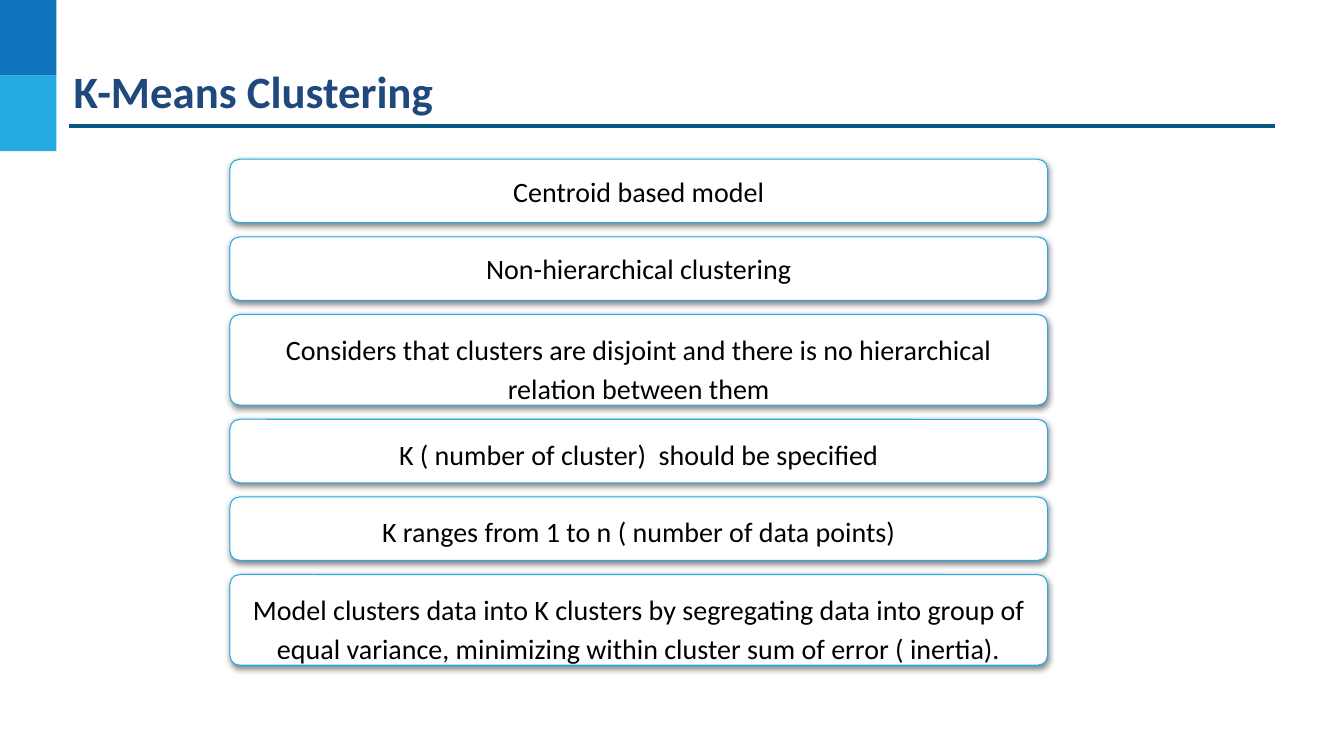
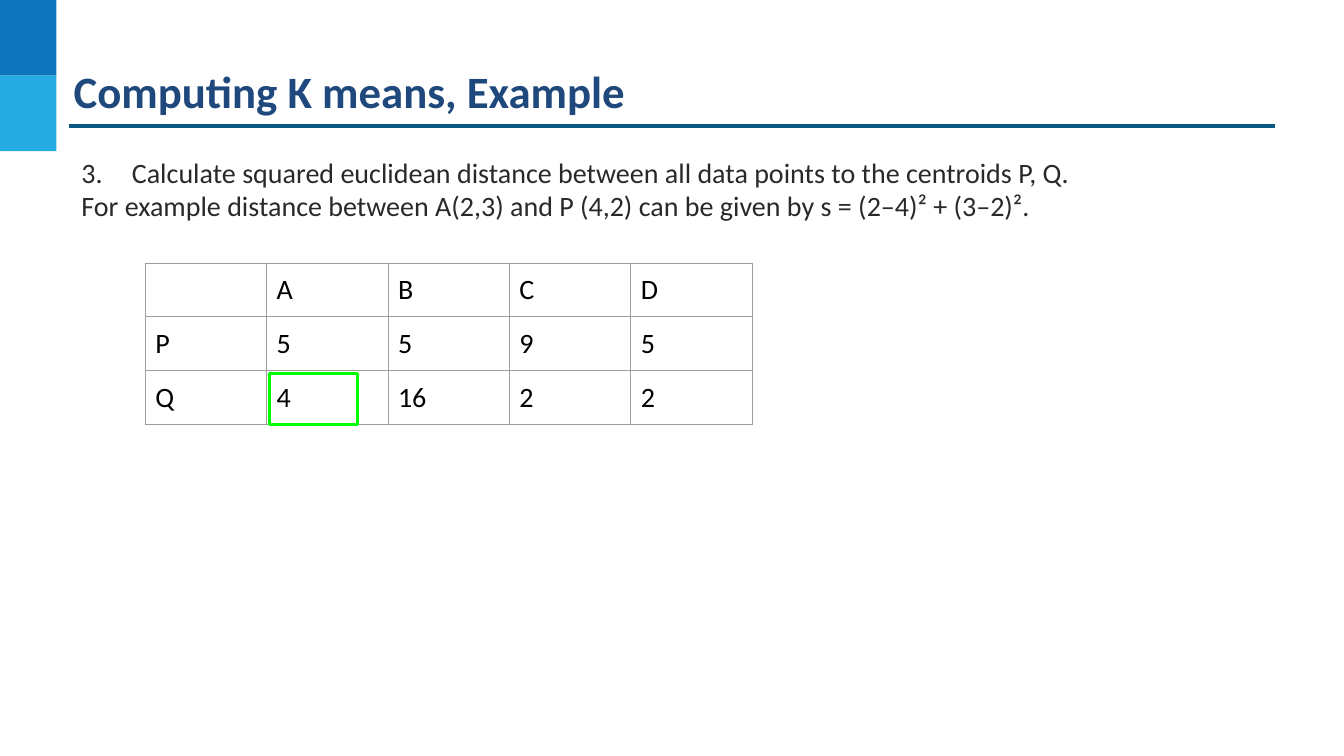
"""Build two slides on K-means clustering: its properties and a distance example."""
from lxml import etree
from pptx import Presentation
from pptx.dml.color import RGBColor
from pptx.enum.shapes import MSO_CONNECTOR, MSO_SHAPE
from pptx.enum.text import MSO_ANCHOR, MSO_AUTO_SIZE, PP_ALIGN
from pptx.oxml import parse_xml
from pptx.oxml.ns import nsdecls, qn
from pptx.util import Inches, Pt

RECTANGLE = MSO_SHAPE.RECTANGLE
ROUNDED = MSO_SHAPE.ROUNDED_RECTANGLE
STRAIGHT = MSO_CONNECTOR.STRAIGHT
TOP, MIDDLE = MSO_ANCHOR.TOP, MSO_ANCHOR.MIDDLE
LEFT, CENTER = PP_ALIGN.LEFT, PP_ALIGN.CENTER
NO_AUTOFIT = MSO_AUTO_SIZE.NONE

DARK_BLUE = RGBColor(0x0F, 0x75, 0xBD)
LIGHT_BLUE = RGBColor(0x25, 0xAA, 0xE2)
RULE_BLUE = RGBColor(0x09, 0x5A, 0x82)
TITLE_BLUE = RGBColor(0x1F, 0x49, 0x7D)
BODY_GREY = RGBColor(0x29, 0x29, 0x29)
BORDER_GREY = RGBColor(0x9E, 0x9E, 0x9E)
GREEN = RGBColor(0x00, 0xFF, 0x00)
WHITE = RGBColor(0xFF, 0xFF, 0xFF)
BLACK = RGBColor(0x00, 0x00, 0x00)

MARGINS = ("margin_left", "margin_top", "margin_right", "margin_bottom")
TITLE_FONT = {"name": "Calibri", "size": Pt(32), "bold": True}
BODY_FONT = {"name": "Calibri", "size": Pt(20), "bold": False}
TITLE_BOX = {"left": Inches(0.71), "top": Inches(0.61),
             "width": Inches(12.29), "height": Inches(0.83)}
TITLES = ["K-Means Clustering", "Computing K means, Example"]
BANDS = [DARK_BLUE, LIGHT_BLUE]

PROPERTIES = [
    ("Centroid based model", 0.63, MIDDLE),
    ("Non-hierarchical clustering", 0.63, MIDDLE),
    ("Considers that clusters are disjoint and there is no hierarchical "
     "relation between them", 0.9, TOP),
    ("K ( number of cluster)  should be specified", 0.63, TOP),
    ("K ranges from 1 to n ( number of data points)", 0.63, TOP),
    ("Model clusters data into K clusters by segregating data into group of "
     "equal variance, minimizing within cluster sum of error ( inertia).", 0.9, TOP),
]
STEP_LINES = [
    "3.\tCalculate squared euclidean distance between all data points to the centroids P, Q.",
    "For example distance between A(2,3) and P (4,2) can be given by s = (2–4)² + (3–2)².",
]
DISTANCES = [
    ["", "A", "B", "C", "D"],
    ["P", "5", "5", "9", "5"],
    ["Q", "4", "16", "2", "2"],
]
SHADOW_XML = (
    f'<a:outerShdw {nsdecls("a")} blurRad="57150" dist="19050" dir="5400000" '
    'algn="bl" rotWithShape="0"><a:srgbClr val="000000"><a:alpha val="49000"/>'
    '</a:srgbClr></a:outerShdw>'
)


def style_text(target, lines, font, color, margin, alignment=LEFT):
    """Write lines into a text frame or cell with one font and margin."""
    for side in MARGINS:
        setattr(target, side, Inches(margin))
    frame = getattr(target, "text_frame", target)
    frame.word_wrap = True
    frame.text = "\n".join(lines)
    for paragraph in frame.paragraphs:
        paragraph.alignment = alignment
        for name, value in font.items():
            setattr(paragraph.font, name, value)
        paragraph.font.color.rgb = color
        for run in paragraph.runs:
            for name, value in font.items():
                setattr(run.font, name, value)
            run.font.color.rgb = color


def add_box(slide, kind, box, fill=None, line=None, line_width=0.75):
    """Add a preset shape at box, given in inches, without a shadow."""
    shape = slide.shapes.add_shape(kind, *map(Inches, box))
    shape.shadow.inherit = False
    if fill is None:
        shape.fill.background()
    else:
        shape.fill.solid()
        shape.fill.fore_color.rgb = fill
    if line is None:
        shape.line.fill.background()
    else:
        shape.line.color.rgb = line
        shape.line.width = Pt(line_width)
    return shape


presentation = Presentation()
presentation.slide_width = Inches(13.33)
presentation.slide_height = Inches(7.5)
layout = presentation.slide_layouts[5]

slides = []
for title_text in TITLES:
    slide = presentation.slides.add_slide(layout)
    title = slide.shapes.title
    for name, value in TITLE_BOX.items():
        setattr(title, name, value)
    style_text(title.text_frame, [title_text], TITLE_FONT, TITLE_BLUE, 0.02)
    title.text_frame.vertical_anchor = TOP
    title.text_frame.auto_size = NO_AUTOFIT
    slides.append(slide)
properties_slide, example_slide = slides

decorations = [
    add_box(properties_slide, RECTANGLE, (0, 0.75 * index, 0.56, 0.75), color)
    for index, color in enumerate(BANDS)
]
rule = properties_slide.shapes.add_connector(
    STRAIGHT, Inches(0.68), Inches(1.25), Inches(12.65), Inches(1.25))
rule.line.color.rgb = RULE_BLUE
rule.line.width = Pt(2.25)
etree.SubElement(rule.element.spPr, qn("a:effectLst"))
decorations.append(rule)
for index, shape in enumerate(decorations):
    shape.element.xpath(".//p:cNvPr")[0].set("id", str(100 + index))
    layout.shapes.element.insert(2 + index, shape.element)

top = 1.58
for text, height, anchor in PROPERTIES:
    card = add_box(properties_slide, ROUNDED, (2.28, top, 8.11, height), WHITE, LIGHT_BLUE)
    card.adjustments[0] = 0.1 / height
    card.element.spPr.find(qn("a:effectLst")).append(parse_xml(SHADOW_XML))
    style_text(card.text_frame, [text], BODY_FONT, BLACK, 0.1, CENTER)
    card.text_frame.vertical_anchor = anchor
    if anchor == TOP:
        paragraph = card.text_frame.paragraphs[0]
        paragraph.line_spacing = 1.15
        paragraph.space_after = Pt(16)
    top += height + 0.14

step_box = example_slide.shapes.add_textbox(
    Inches(0.71), Inches(1.44), Inches(11.24), Inches(0.88))
style_text(step_box.text_frame, STEP_LINES, BODY_FONT, BODY_GREY, 0.1)

table = example_slide.shapes.add_table(
    len(DISTANCES), len(DISTANCES[0]),
    Inches(1.44), Inches(2.61), Inches(6.02), Inches(1.6)).table
table.first_row = False
table.horz_banding = False
for row_index, values in enumerate(DISTANCES):
    for column_index, value in enumerate(values):
        cell = table.cell(row_index, column_index)
        style_text(cell, [value], BODY_FONT, BLACK, 0.1)
        cell.fill.background()
        cell_properties = cell._tc.get_or_add_tcPr()
        for position, side in enumerate(("lnL", "lnR", "lnT", "lnB")):
            cell_properties.insert(position, parse_xml(
                f'<a:{side} {nsdecls("a")} w="{Pt(0.75)}"><a:solidFill>'
                f'<a:srgbClr val="{BORDER_GREY}"/></a:solidFill></a:{side}>'))

add_box(example_slide, RECTANGLE, (2.67, 3.71, 0.88, 0.5), line=GREEN, line_width=2.25)

presentation.save("out.pptx")
